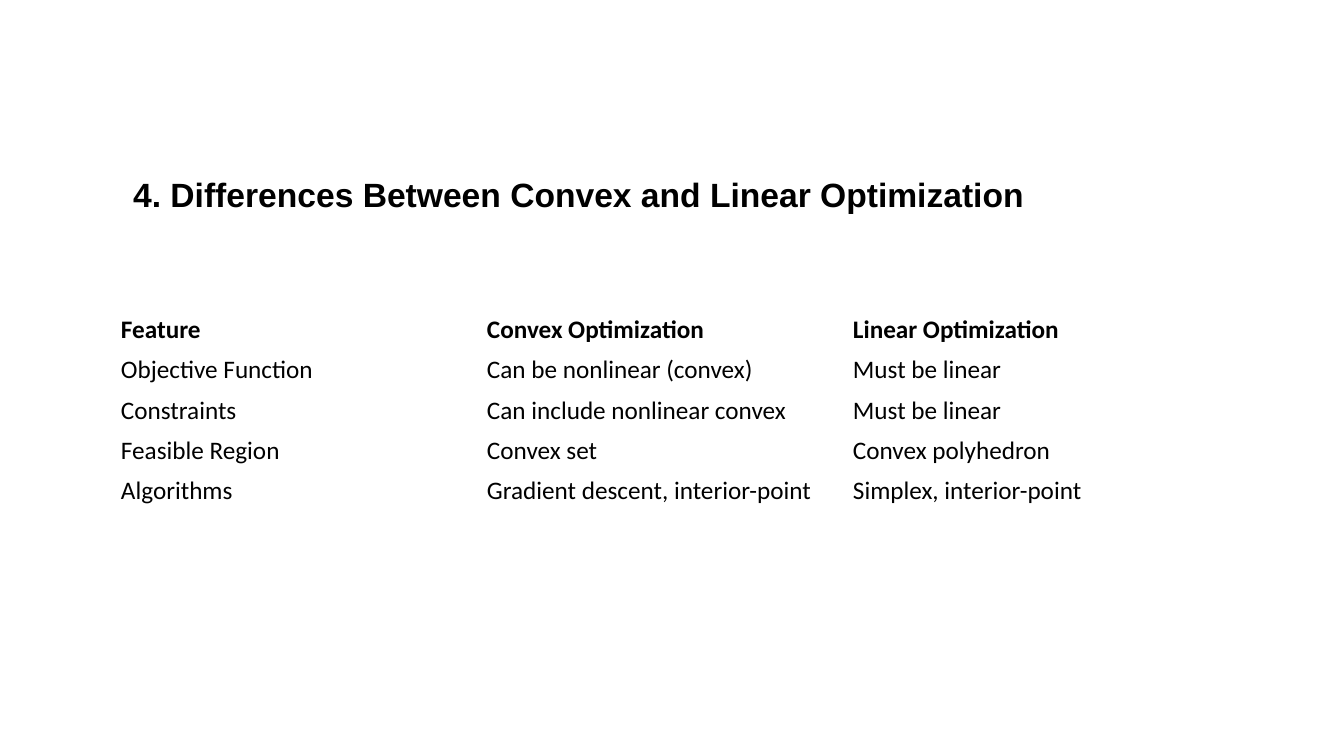
from dataclasses import dataclass

import pptx
import pptx.dml.color
import pptx.enum.text
import pptx.util

Inches = pptx.util.Inches
Anchor = pptx.enum.text.MSO_ANCHOR


@dataclass(frozen=True)
class Theme:
    text_color: str = "000000"
    background: str = "FFFFFF"
    title_font: str = "Arial"
    table_font: str = "Calibri"
    title_size: int = 24
    table_size: int = 18


class SlideBuilder:
    def __init__(self, slide, theme):
        self.slide = slide
        self.theme = theme
        fill = slide.background.fill
        fill.solid()
        fill.fore_color.rgb = pptx.dml.color.RGBColor.from_string(theme.background)

    def format_text(self, paragraph, name, size, bold):
        paragraph.alignment = pptx.enum.text.PP_ALIGN.LEFT
        font = paragraph.font
        font.name = name
        font.size = pptx.util.Pt(size)
        font.bold = bold
        font.color.rgb = pptx.dml.color.RGBColor.from_string(self.theme.text_color)

    def title(self, text, left, top, width, height):
        title = self.slide.shapes.title
        title.left, title.top = Inches(left), Inches(top)
        title.width, title.height = Inches(width), Inches(height)
        frame = title.text_frame
        frame.text = text
        frame.word_wrap = False
        frame.auto_size = pptx.enum.text.MSO_AUTO_SIZE.SHAPE_TO_FIT_TEXT
        frame.vertical_anchor = Anchor.MIDDLE
        self.format_text(
            frame.paragraphs[0], self.theme.title_font, self.theme.title_size, True
        )

    def table(self, rows, left, top, column_width, row_height):
        """Add an unfilled table whose first row is bold."""
        column_count = len(rows[0])
        table = self.slide.shapes.add_table(
            len(rows), column_count, Inches(left), Inches(top),
            Inches(column_width * column_count), Inches(row_height * len(rows)),
        ).table
        table.first_row = False
        table.horz_banding = False
        for row_index, values in enumerate(rows):
            for column_index, value in enumerate(values):
                cell = table.cell(row_index, column_index)
                cell.text = value
                cell.fill.background()
                cell.vertical_anchor = Anchor.MIDDLE
                self.format_text(
                    cell.text_frame.paragraphs[0], self.theme.table_font,
                    self.theme.table_size, row_index == 0,
                )


COMPARISON = [
    ("Feature", "Convex Optimization", "Linear Optimization"),
    ("Objective Function", "Can be nonlinear (convex)", "Must be linear"),
    ("Constraints", "Can include nonlinear convex", "Must be linear"),
    ("Feasible Region", "Convex set", "Convex polyhedron"),
    ("Algorithms", "Gradient descent, interior-point", "Simplex, interior-point"),
]


def main():
    presentation = pptx.Presentation()
    presentation.slide_width = Inches(13.33)
    presentation.slide_height = Inches(7.5)
    title_only = presentation.slide_layouts.get_by_name("Title Only")
    builder = SlideBuilder(presentation.slides.add_slide(title_only), Theme())
    builder.table(COMPARISON, left=1.1, top=3.07, column_width=3.63, row_height=0.4)
    builder.title(
        "4. Differences Between Convex and Linear Optimization",
        left=1.22, top=1.68, width=9.12, height=0.5,
    )
    presentation.save("out.pptx")


if __name__ == "__main__":
    main()
